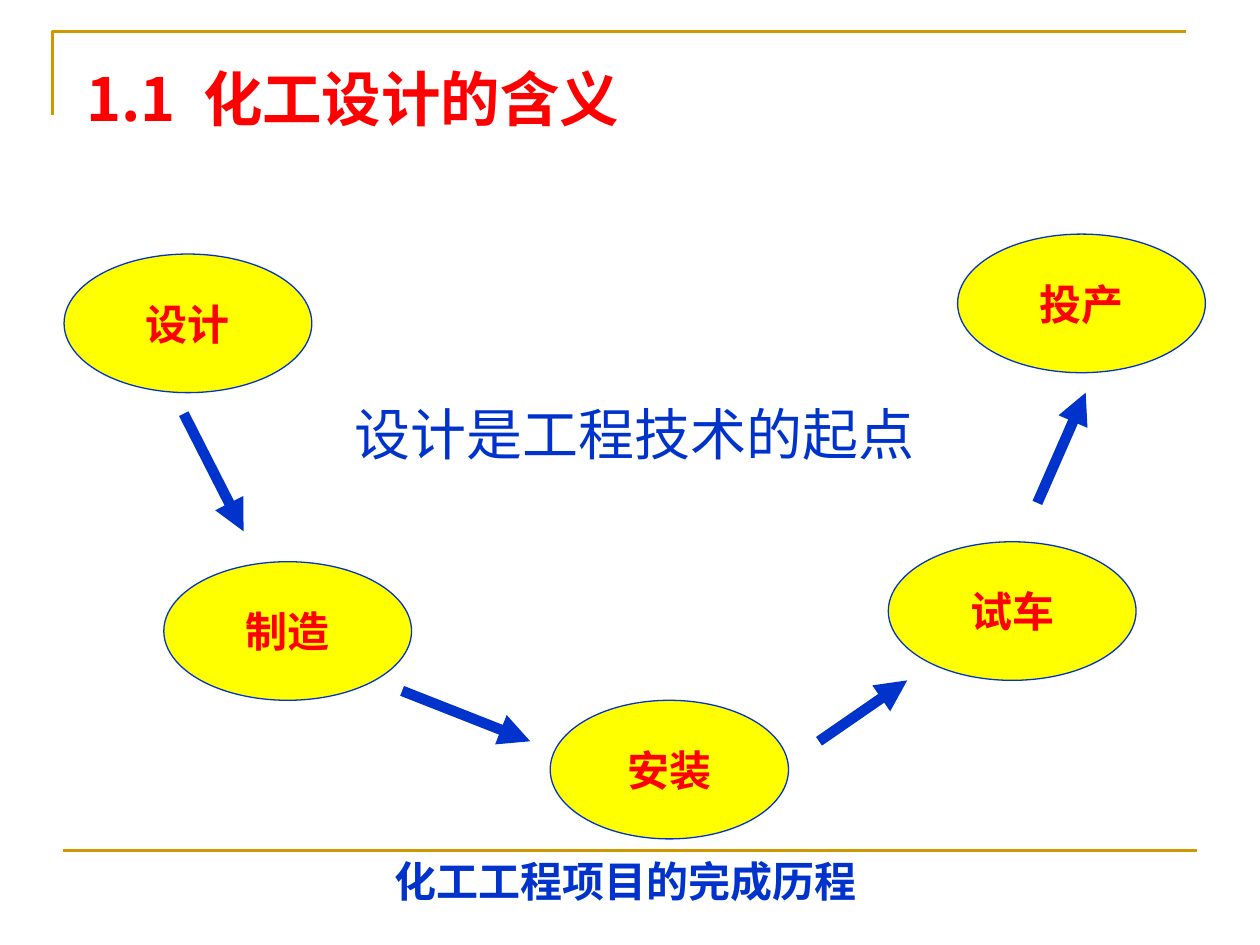
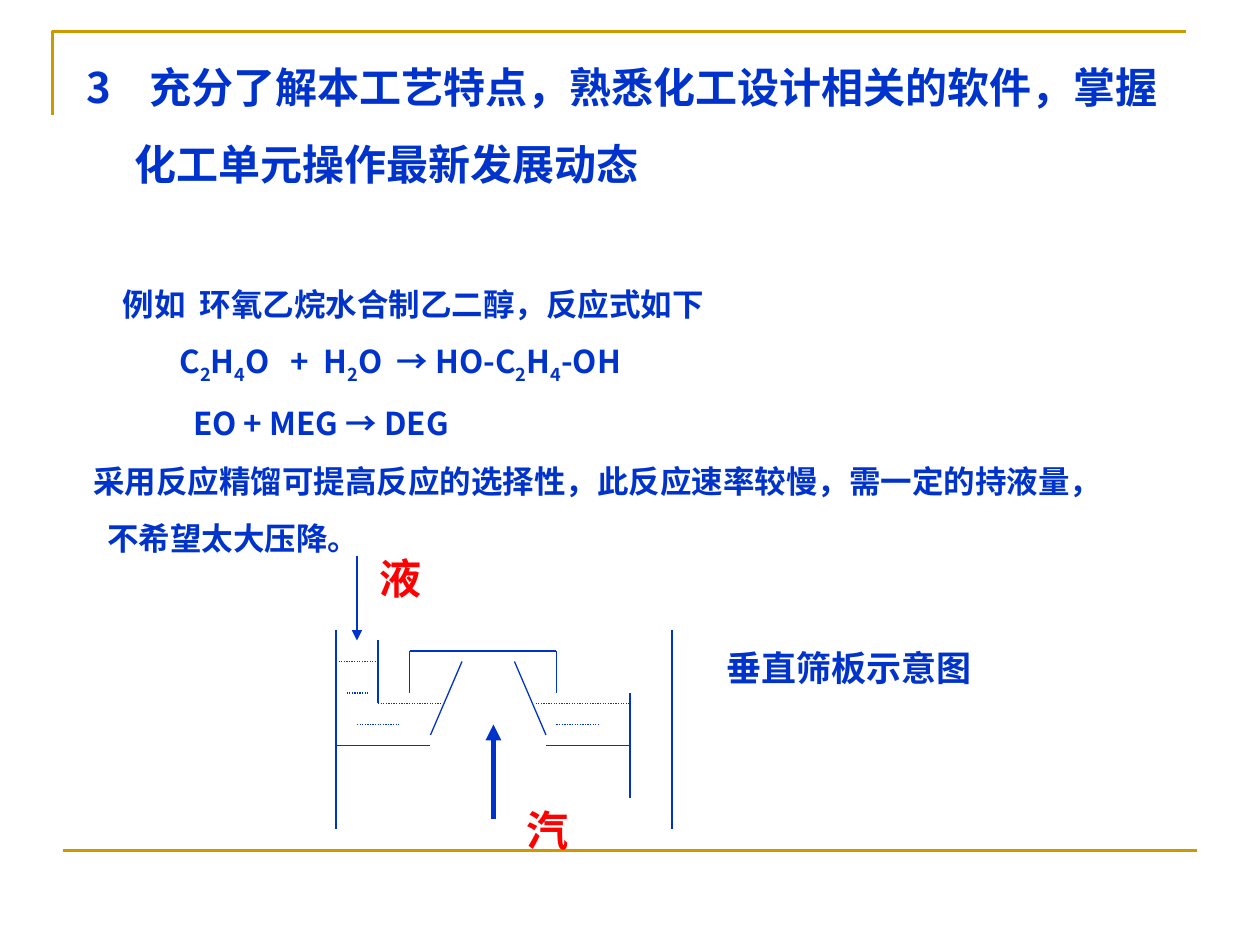
"""Build two slides on chemical engineering design."""
from dataclasses import dataclass
from typing import Any, NamedTuple, Optional

from lxml.etree import SubElement
from pptx import Presentation
from pptx.dml.color import RGBColor as Color
from pptx.enum.dml import MSO_LINE_DASH_STYLE as Dash
from pptx.enum.shapes import MSO_CONNECTOR_TYPE as ConnectorType, MSO_SHAPE as ShapeType
from pptx.enum.text import MSO_ANCHOR as Anchor, MSO_AUTO_SIZE as AutoSize, PP_ALIGN as Align
from pptx.oxml.ns import qn
from pptx.util import Emu, Pt

EMU_PER_PX = 7620


@dataclass(frozen=True)
class Theme:
    """Colours, fonts and type sizes shared by the slides."""
    blue: Color = Color(0x00, 0x33, 0xCC)
    red: Color = Color(0xFF, 0x00, 0x00)
    yellow: Color = Color(0xFF, 0xFF, 0x00)
    gold: Color = Color(0xCC, 0x99, 0x00)
    east_asian: str = "Noto Sans CJK SC"
    label: str = "Karla"
    plain: str = "Arial"
    title_size: int = 34
    statement_size: int = 32
    heading_size: int = 24
    note_size: int = 20
    body_size: int = 18
    heading_gap: float = 15
    body_gap: float = 11.2


THEME = Theme()


class Box(NamedTuple):
    """A rectangle in px."""
    left: int
    top: int
    width: int
    height: int


class Style(NamedTuple):
    """The look of a run of text."""
    size: int
    color: Color = THEME.blue
    bold: bool = True
    font: str = THEME.east_asian


class Line(NamedTuple):
    """A straight line, in px, with its weight in points."""
    x1: int
    y1: int
    x2: int
    y2: int
    weight: float = 0.75
    arrow: bool = False
    dotted: bool = False
    color: Color = THEME.blue


class Step(NamedTuple):
    """One stage of a project, drawn as an ellipse."""
    text: str
    box: Box


class Label(NamedTuple):
    """A free-standing text."""
    text: str
    box: Box
    style: Style


class Item(NamedTuple):
    """A paragraph whose parts between bars are subscripts or spaces widened by points."""
    text: str
    margin: int = 0
    indent: int = 0
    widenings: tuple[int, ...] = ()
    number: Optional[int] = None


HEADING = Style(THEME.heading_size)
RED_LABEL = Style(THEME.heading_size, THEME.red)
STEP_STYLE = Style(THEME.heading_size, THEME.red, font=THEME.label)
TITLE_BOX = Box(70, 53, 1050, 150)
BODY_BOX = Box(50, 265, 1110, 272)

STEPS = (
    Step("设计", Box(61, 242, 236, 132)),
    Step("制造", Box(156, 535, 236, 132)),
    Step("安装", Box(524, 667, 227, 132)),
    Step("试车", Box(846, 516, 236, 132)),
    Step("投产", Box(912, 223, 236, 132)),
)
STEP_ARROWS = (
    Line(175, 394, 232, 506, 6, True),
    Line(383, 658, 505, 706, 6, True),
    Line(780, 706, 864, 648, 6, True),
    Line(988, 479, 1034, 374, 6, True),
)
PROCESS_LABELS = (
    Label("化工工程项目的完成历程", Box(364, 809, 506, 60),
          Style(THEME.heading_size, font=THEME.label)),
    Label("设计是工程技术的起点", Box(326, 375, 636, 77),
          Style(THEME.statement_size, bold=False, font=THEME.plain)),
)

TITLE_ITEMS = (Item("1.1| |化工设计的含义", widenings=(8,)),)
HEADING_ITEMS = (
    Item("充分了解本工艺特点，熟悉化工设计相关的软件，掌握", 60, -60, number=3),
    Item("化工单元操作最新发展动态", 46),
)
BODY_ITEMS = (
    Item("例如| |环氧乙烷水合制乙二醇，反应式如下", indent=55, widenings=(4,)),
    Item("C|2|H|4|O| |+| |H|2|O| |→ HO-C|2|H|4|-OH", indent=109, widenings=(8, 4, 4)),
    Item("EO + MEG → DEG", indent=122),
    Item("采用反应精馏可提高反应的选择性，此反应速率较慢，需一定的持液量，", indent=27),
    Item("不希望太大压降。", indent=40),
)

TRAY_LINES = (
    Line(320, 600, 320, 790),
    Line(640, 600, 640, 790),
    Line(320, 710, 410, 710),
    Line(520, 710, 600, 710),
    Line(440, 630, 410, 700),
    Line(490, 630, 520, 700),
    Line(390, 620, 390, 660),
    Line(390, 620, 530, 620),
    Line(530, 620, 530, 660),
    Line(600, 660, 600, 760),
    Line(360, 610, 360, 670),
    Line(470, 780, 470, 690, 3, True),
    Line(340, 530, 340, 610, 1.5, True),
)
LIQUID_LINES = tuple(
    Line(left, level, right, level, dotted=True)
    for left, right, level in (
        (360, 420, 670), (510, 600, 670), (320, 360, 630),
        (330, 350, 660), (340, 380, 690), (530, 570, 690),
    )
)
TRAY_LABELS = (
    Label("液", Box(350, 520, 90, 60), RED_LABEL),
    Label("汽", Box(490, 760, 80, 60), RED_LABEL),
)
TRAY_CAPTION = Label("垂直筛板示意图", Box(680, 610, 350, 53), Style(THEME.note_size))


def px(length: int) -> Emu:
    """Turn px into EMU."""
    return Emu(length * EMU_PER_PX)


def set_values(target: Any, values: dict[str, Any]) -> None:
    """Set each named attribute of the target."""
    for name, value in values.items():
        setattr(target, name, value)


def place(shape: Any, box: Box) -> None:
    """Move and size a shape."""
    set_values(shape, {name: px(value) for name, value in zip(box._fields, box)})


def add_run(paragraph: Any, text: str, style: Style) -> Any:
    """Add a formatted run and return its properties element."""
    run = paragraph.add_run()
    run.text = text
    set_values(run.font, {"size": Pt(style.size), "bold": style.bold, "name": style.font})
    run.font.color.rgb = style.color
    properties = run.font._element
    SubElement(properties, qn("a:ea"), typeface=THEME.east_asian)
    return properties


def add_item_runs(paragraph: Any, item: Item, style: Style) -> None:
    """Write the plain parts, subscripts and widened spaces of an item."""
    widenings = iter(item.widenings)
    for part, text in enumerate(item.text.split("|")):
        properties = add_run(paragraph, text, style)
        if text == " ":
            properties.set("spc", str(next(widenings) * 100))
        elif part % 2:
            properties.set("baseline", "-25000")


def format_item(paragraph: Any, item: Item) -> None:
    """Set the indents and the number of a paragraph."""
    properties = paragraph._p.get_or_add_pPr()
    for name, value in {"marL": item.margin, "indent": item.indent}.items():
        properties.set(name, str(px(value)))
    if item.number is None:
        SubElement(properties, qn("a:buNone"))
    else:
        SubElement(properties, qn("a:buAutoNum"), type="arabicPlain", startAt=str(item.number))


def fill_placeholder(shape: Any, box: Box, items: tuple[Item, ...], style: Style,
                     gap: float = 0) -> None:
    """Place a placeholder and write its paragraphs."""
    place(shape, box)
    frame = shape.text_frame
    set_values(frame, {"word_wrap": True, "auto_size": AutoSize.NONE,
                       "vertical_anchor": Anchor.TOP})
    for index, item in enumerate(items):
        paragraph = frame.add_paragraph() if index else frame.paragraphs[0]
        format_item(paragraph, item)
        set_values(paragraph, {"alignment": Align.LEFT, "space_before": Pt(gap if index else 0)})
        add_item_runs(paragraph, item, style)


def add_label(shapes: Any, label: Label) -> None:
    """Draw a text box."""
    frame = shapes.add_textbox(*map(px, label.box)).text_frame
    frame.word_wrap = True
    add_run(frame.paragraphs[0], label.text, label.style)


def add_line(shapes: Any, line: Line) -> None:
    """Draw a straight line or an arrow."""
    ends = map(px, (line.x1, line.y1, line.x2, line.y2))
    connector = shapes.add_connector(ConnectorType.STRAIGHT, *ends)
    connector.line.color.rgb = line.color
    connector.line.width = Pt(line.weight)
    if line.dotted:
        connector.line.dash_style = Dash.ROUND_DOT
    if line.arrow:
        SubElement(connector.line._get_or_add_ln(), qn("a:tailEnd"), type="triangle")
    SubElement(connector._element.spPr, qn("a:effectLst"))


def add_step(shapes: Any, step: Step) -> None:
    """Draw a stage as a labelled ellipse."""
    shape = shapes.add_shape(ShapeType.OVAL, *map(px, step.box))
    shape.shadow.inherit = False
    shape.fill.solid()
    shape.fill.fore_color.rgb = THEME.yellow
    shape.line.color.rgb = THEME.blue
    shape.line.width = Pt(0.75)
    set_values(shape.text_frame, {"word_wrap": False, "vertical_anchor": Anchor.MIDDLE})
    paragraph = shape.text_frame.paragraphs[0]
    paragraph.alignment = Align.CENTER
    add_run(paragraph, step.text, STEP_STYLE)


def add_framed_slide(presentation: Any, layout: int) -> Any:
    """Add a slide with the gold corner and the footer rule."""
    slide = presentation.slides.add_slide(presentation.slide_layouts[layout])
    builder = slide.shapes.build_freeform(50, 110, scale=EMU_PER_PX)
    builder.add_line_segments([(50, 30), (1130, 30)], close=False)
    corner = builder.convert_to_shape()
    corner.shadow.inherit = False
    corner.fill.background()
    corner.line.color.rgb = THEME.gold
    corner.line.width = Pt(1.5)
    add_line(slide.shapes, Line(60, 810, 1140, 810, 1.5, color=THEME.gold))
    return slide


def build_process_slide(presentation: Any) -> None:
    """Show the stages of a project."""
    slide = add_framed_slide(presentation, 5)
    fill_placeholder(slide.shapes.title, TITLE_BOX, TITLE_ITEMS,
                     Style(THEME.title_size, THEME.red))
    for step in STEPS:
        add_step(slide.shapes, step)
    for arrow in STEP_ARROWS:
        add_line(slide.shapes, arrow)
    for label in PROCESS_LABELS:
        add_label(slide.shapes, label)


def build_tray_slide(presentation: Any) -> None:
    """Show the reaction example and the sieve tray."""
    slide = add_framed_slide(presentation, 1)
    fill_placeholder(slide.shapes.title, TITLE_BOX, HEADING_ITEMS, HEADING, THEME.heading_gap)
    fill_placeholder(slide.placeholders[1], BODY_BOX, BODY_ITEMS,
                     Style(THEME.body_size), THEME.body_gap)
    tray = slide.shapes.add_group_shape()
    for line in TRAY_LINES + LIQUID_LINES:
        add_line(tray.shapes, line)
    for label in TRAY_LABELS:
        add_label(tray.shapes, label)
    add_label(slide.shapes, TRAY_CAPTION)


def main() -> None:
    """Build and save the presentation."""
    presentation = Presentation()
    set_values(presentation, {"slide_width": px(1200), "slide_height": px(900)})
    build_process_slide(presentation)
    build_tray_slide(presentation)
    presentation.save("out.pptx")


if __name__ == "__main__":
    main()
